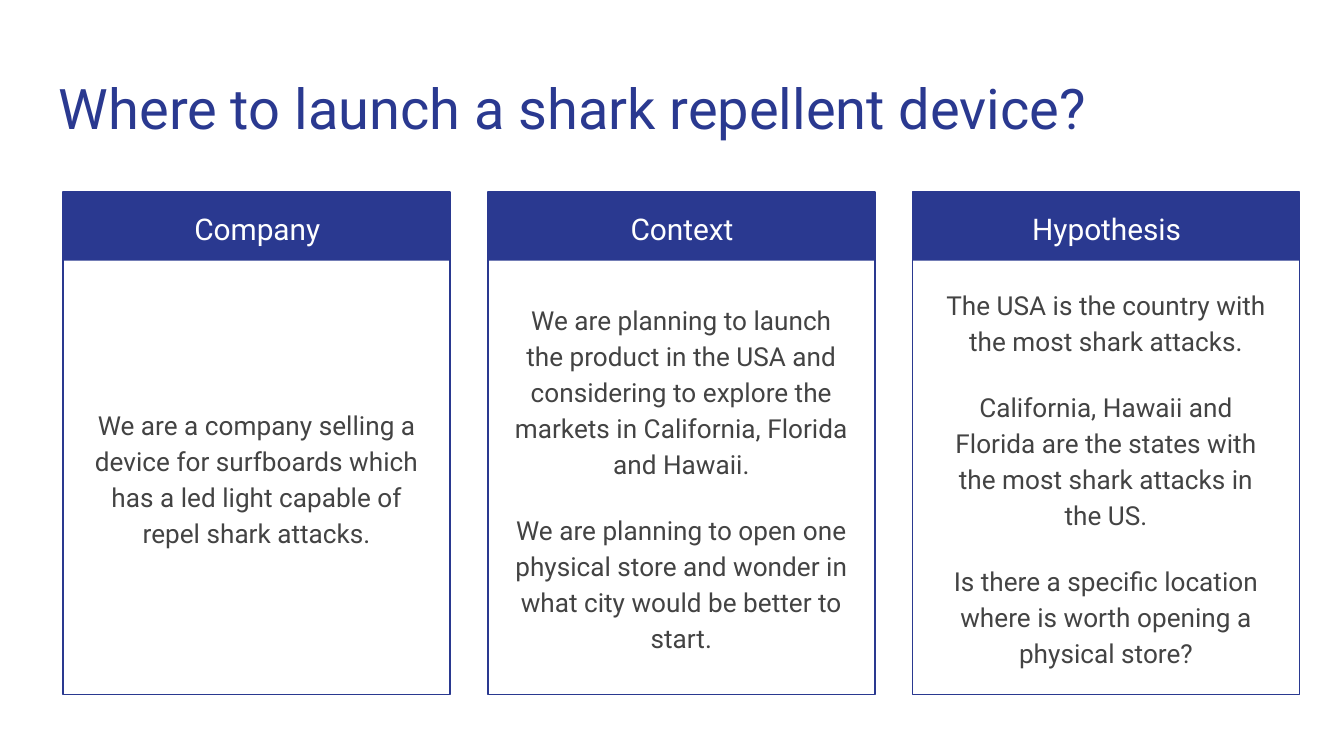
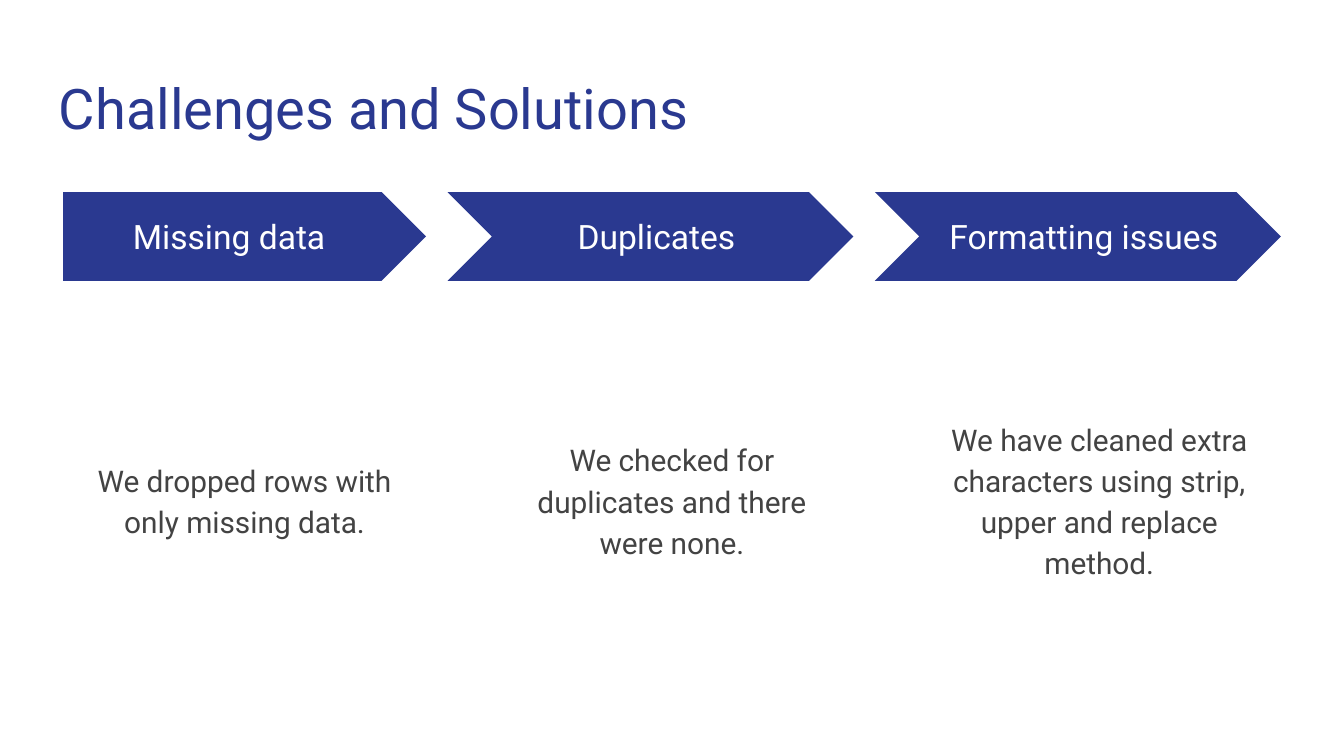
"""Build two slides: the launch question and the data cleaning steps."""
from dataclasses import dataclass

from pptx import Presentation
from pptx import util as u
from pptx.dml.color import RGBColor
from pptx.enum import shapes, text


@dataclass(frozen=True)
class Theme:
    """Colours, typeface and type sizes shared by the slides."""
    blue: RGBColor = RGBColor(0x2A, 0x39, 0x90)
    grey: RGBColor = RGBColor(0x43, 0x43, 0x43)
    white: RGBColor = RGBColor(0xFF, 0xFF, 0xFF)
    font: str = "Roboto"
    title: int = 30
    step: int = 18
    heading: int = 16
    card: int = 14
    line: float = 0.75


THEME = Theme()
TOP = text.MSO_ANCHOR.TOP
MIDDLE = text.MSO_ANCHOR.MIDDLE
LEFT_EDGE = 0.47
BAND_TOP = 1.43
CARD_PITCH = 3.16
STEP_PITCH = 3.18

CARDS = [
    ("Company", MIDDLE, [
        "We are a company selling a device for surfboards which has a led light "
        "capable of repel shark attacks.",
    ]),
    ("Context", MIDDLE, [
        "We are planning to launch the product in the USA and considering to "
        "explore the markets in California, Florida and Hawaii.",
        "We are planning to open one physical store and wonder in what city "
        "would be better to start.",
    ]),
    ("Hypothesis", TOP, [
        "The USA is the country with the most shark attacks.",
        "California, Hawaii and Florida are the states with the most shark "
        "attacks in the US.",
        "Is there a specific location where is worth opening a physical store?",
    ]),
]

STEPS = [
    ("Missing data", "We dropped rows with only missing data."),
    ("Duplicates", "We checked for duplicates and there were none."),
    ("Formatting issues",
     "We have cleaned extra characters using strip, upper and replace method."),
]


def set_values(target, values):
    """Set each named attribute of the target."""
    for name, value in values.items():
        setattr(target, name, value)


def add_text(slide, box, paragraphs, size, color, anchor=TOP,
             align=text.PP_ALIGN.CENTER, spacing=1.15, gap=0, after=0):
    """Add a wrapped text box with a gap between paragraphs and space after the last."""
    frame = slide.shapes.add_textbox(*map(u.Inches, box)).text_frame
    margins = ("margin_left", "margin_top", "margin_right", "margin_bottom")
    set_values(frame, dict.fromkeys(margins, u.Inches(0.1)))
    set_values(frame, {"word_wrap": True, "vertical_anchor": anchor})
    for index, words in enumerate(paragraphs):
        paragraph = frame.add_paragraph() if index else frame.paragraphs[0]
        last = index == len(paragraphs) - 1
        set_values(paragraph, {
            "alignment": align,
            "line_spacing": spacing,
            "space_before": u.Pt(gap if index else 0),
            "space_after": u.Pt(after if last else 0),
        })
        run = paragraph.add_run()
        run.text = words
        set_values(run.font, {"name": THEME.font, "size": u.Pt(size)})
        run.font.color.rgb = color


def add_block(slide, kind, box, filled=True):
    """Add a preset shape that is either filled or outlined in blue."""
    shape = slide.shapes.add_shape(kind, *map(u.Inches, box))
    shape.shadow.inherit = False
    if filled:
        shape.fill.solid()
        shape.fill.fore_color.rgb = THEME.blue
        shape.line.fill.background()
    else:
        shape.fill.background()
        shape.line.color.rgb = THEME.blue
        shape.line.width = u.Pt(THEME.line)


def add_titled_slide(presentation, title):
    """Add a blank slide with the shared title style."""
    slide = presentation.slides.add_slide(presentation.slide_layouts[6])
    add_text(slide, (0.34, 0.45, 9.32, 0.66), [title], THEME.title, THEME.blue,
             align=text.PP_ALIGN.LEFT, spacing=1.0)
    return slide


def add_card(slide, left, heading, anchor, paragraphs):
    """Add an outlined card with a filled heading band."""
    rectangle = shapes.MSO_SHAPE.RECTANGLE
    add_block(slide, rectangle, (left, BAND_TOP, 2.88, 0.51))
    add_block(slide, rectangle, (left, BAND_TOP, 2.88, 3.74), filled=False)
    add_text(slide, (left + 0.08, BAND_TOP, 2.73, 0.5), [heading],
             THEME.heading, THEME.white)
    add_text(slide, (left + 0.09, 2.02, 2.7, 3.06), paragraphs, THEME.card,
             THEME.grey, anchor, gap=16, after=16)


def add_step(slide, index, heading, body):
    """Add an arrow step with its heading and the explanation below."""
    left = LEFT_EDGE + index * STEP_PITCH
    notch = 0.32 if index else 0
    kind = shapes.MSO_SHAPE.CHEVRON if index else shapes.MSO_SHAPE.PENTAGON
    add_block(slide, kind, (left - notch, BAND_TOP, 2.7 + notch, 0.66))
    add_text(slide, (left, 1.59, 2.47, 0.34), [heading], THEME.step,
             THEME.white, MIDDLE, spacing=1.0)
    add_text(slide, (left, 2.26, 2.7, 2.9), [body], THEME.heading,
             THEME.grey, MIDDLE, after=8)


def main():
    """Build and save the presentation."""
    presentation = Presentation()
    width = u.Inches(10)
    set_values(presentation, {"slide_width": width,
                              "slide_height": width * 9 // 16})

    slide = add_titled_slide(presentation,
                             "Where to launch a shark repellent device?")
    for index, card in enumerate(CARDS):
        add_card(slide, LEFT_EDGE + index * CARD_PITCH, *card)

    slide = add_titled_slide(presentation, "Challenges and Solutions")
    for index, step in enumerate(STEPS):
        add_step(slide, index, *step)

    presentation.save("out.pptx")


if __name__ == "__main__":
    main()
